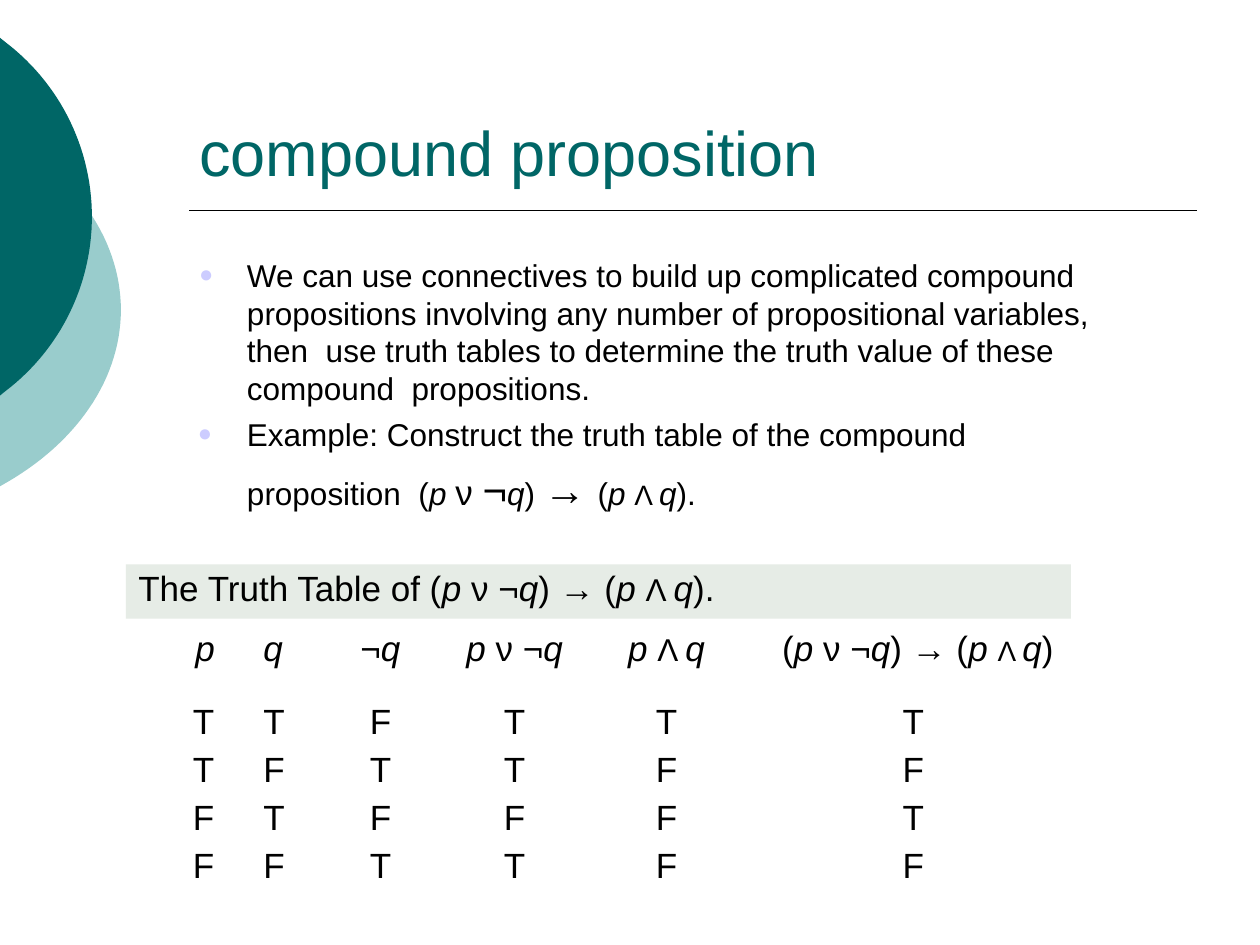
import math

from lxml import etree
from pptx import Presentation
from pptx.dml.color import RGBColor
from pptx.enum.shapes import MSO_CONNECTOR, MSO_SHAPE
from pptx.enum.text import MSO_ANCHOR, MSO_AUTO_SIZE, PP_ALIGN
from pptx.oxml.ns import qn
from pptx.util import Inches, Pt

LEFT, CENTER = PP_ALIGN.LEFT, PP_ALIGN.CENTER
TOP = MSO_ANCHOR.TOP
RECT = MSO_SHAPE.RECTANGLE
STRAIGHT = MSO_CONNECTOR.STRAIGHT
NO_FIT = MSO_AUTO_SIZE.NONE

TEAL = RGBColor(0x00, 0x66, 0x66)
AQUA = RGBColor(0x99, 0xCC, 0xCC)
LILAC = RGBColor(0xCC, 0xCC, 0xFF)
SAGE = RGBColor(0xE6, 0xEC, 0xE6)
BLACK = RGBColor(0x00, 0x00, 0x00)
FONT = "Arial"

INTRO = ["We can use connectives to build up complicated compound "
         "propositions involving any number of propositional variables, "
         "then  use truth tables to determine the truth value of these "
         "compound  propositions."]
TASK = ["Example: Construct the truth table of the compound proposition  (",
        "p ", ("ν ", 20), ("¬", 24), "q", ") ", ("→ ", 24), "(",
        "p ", ("Λ ", 16), "q", ")."]
BANNER = ["The Truth Table of (", "p ", "ν ¬", "q", ") → (",
          "p ", ("Λ ", 18), "q", ")."]
# Column width, alignment, left margin in the head row and in the value rows
COLS = [(0.4, LEFT, 0.05, 0.03), (0.66, LEFT, 0.19, 0.19),
        (0.88, CENTER, 0.04, 0.04), (1.26, CENTER, 0.03, 0.03),
        (1.18, CENTER, 0, 0), (2.53, CENTER, 0.28, 0.21)]
# Row height and top margin
ROWS = [(0.46, 0), (0.49, 0.12), (0.38, 0.01), (0.38, 0.01), (0.34, 0.01)]
HEAD = [["p"], ["q"], ["¬", "q"], ["p ", "ν ¬", "q"],
        ["p ", ("Λ ", 18), "q"],
        ["(", "p ", "ν ¬", "q", ") → (", "p ", ("Λ ", 16), "q", ")"]]
VALUES = ["TTFTTT", "TFTTFF", "FTFFFT", "FFTTFF"]


def add_runs(para, parts, size, color=BLACK):
    """Add text parts, each a string or (string, size); p and q are italic."""
    for part in parts:
        text, points = (part, size) if isinstance(part, str) else part
        run = para.add_run()
        run.text = text
        font = run.font
        font.name, font.size = FONT, Pt(points)
        font.bold, font.italic = False, text.strip() in ("p", "q")
        font.color.rgb = color


def set_frame(frame, left=0, top=0):
    frame.word_wrap = True
    frame.auto_size = NO_FIT
    frame.vertical_anchor = TOP
    frame.margin_left, frame.margin_top = Inches(left), Inches(top)
    frame.margin_right = frame.margin_bottom = 0


def place(shape, *box):
    shape.left, shape.top, shape.width, shape.height = map(Inches, box)


def add_arc(slide, mid, half, tip, rx, ry, color):
    """Draw the part of an ellipse that shows right of the slide's left edge."""
    end = math.asin(half / ry)
    turns = [end * (i / 30 - 1) for i in range(61)]
    points = [(Inches(max(0, tip - rx + rx * math.cos(t))),
               Inches(mid + ry * math.sin(t))) for t in turns]
    form = slide.shapes.build_freeform(*points[0])
    form.add_line_segments(points[1:], close=True)
    shape = form.convert_to_shape()
    shape.shadow.inherit = False
    shape.fill.solid()
    shape.fill.fore_color.rgb = color
    shape.line.fill.background()


def add_rule(slide):
    y = Inches(1.67)
    rule = slide.shapes.add_connector(STRAIGHT, Inches(1.5), y, Inches(9.5), y)
    rule.line.color.rgb = BLACK
    rule.line.width = Pt(0.96)
    etree.SubElement(rule._element.spPr, qn("a:effectLst"))


def add_title(slide):
    title = slide.shapes.title
    place(title, 1.58, 0.9, 5.08, 1.21)
    set_frame(title.text_frame)
    para = title.text_frame.paragraphs[0]
    para.alignment = LEFT
    add_runs(para, ["compound proposition"], 36, TEAL)


def set_bullet(para, indent):
    props = para._p.get_or_add_pPr()
    props.set("marL", str(Inches(0.39)))
    props.set("indent", str(Inches(-indent)))
    tint = etree.SubElement(props, qn("a:buClr"))
    etree.SubElement(tint, qn("a:srgbClr"), val=str(LILAC))
    etree.SubElement(props, qn("a:buSzPct"), val="75000")
    etree.SubElement(props, qn("a:buFont"), typeface=FONT)
    etree.SubElement(props, qn("a:buChar"), char="●")


def add_body(slide):
    body = slide.placeholders[1]
    place(body, 1.57, 2.03, 7.3, 2.45)
    frame = body.text_frame
    set_frame(frame)
    items = [(frame.paragraphs[0], INTRO, 1.0, 0.38),
             (frame.add_paragraph(), TASK, 1.21, 0.39)]
    for para, parts, spacing, indent in items:
        para.line_spacing = spacing
        para.space_before = Pt(0)
        set_bullet(para, indent)
        add_runs(para, parts, 18)


def add_banner(slide):
    box = slide.shapes.add_shape(RECT, *map(Inches, (1, 4.48, 7.5, 0.43)))
    box.shadow.inherit = False
    box.fill.solid()
    box.fill.fore_color.rgb = SAGE
    box.line.fill.background()
    set_frame(box.text_frame, 0.1, 0.02)
    para = box.text_frame.paragraphs[0]
    para.alignment = LEFT
    para.space_before = Pt(1.7)
    add_runs(para, BANNER, 20)


def add_truth(slide):
    width = sum(col[0] for col in COLS)
    height = sum(row[0] for row in ROWS)
    table = slide.shapes.add_table(
        len(ROWS), len(COLS), Inches(1.5), Inches(5),
        Inches(width), Inches(height)).table
    table.first_row = table.horz_banding = False
    for c, col in enumerate(COLS):
        table.columns[c].width = Inches(col[0])
    for r, (tall, top) in enumerate(ROWS):
        table.rows[r].height = Inches(tall)
        for c, (_, align, first, rest) in enumerate(COLS):
            cell = table.cell(r, c)
            cell.fill.background()
            cell.margin_left = Inches(rest if r else first)
            cell.margin_top = Inches(top)
            cell.margin_right = cell.margin_bottom = 0
            para = cell.text_frame.paragraphs[0]
            para.alignment = align
            add_runs(para, [VALUES[r - 1][c]] if r else HEAD[c], 20)


def main():
    deck = Presentation()
    deck.slide_width, deck.slide_height = Inches(10), Inches(7.5)
    slide = deck.slides.add_slide(deck.slide_layouts[1])
    add_arc(slide, 2.46, 1.4, 0.96, 2.4, 1.75, AQUA)
    add_arc(slide, 1.72, 1.42, 0.73, 1.74, 1.74, TEAL)
    add_rule(slide)
    add_title(slide)
    add_body(slide)
    add_banner(slide)
    add_truth(slide)
    deck.save("out.pptx")


if __name__ == "__main__":
    main()
